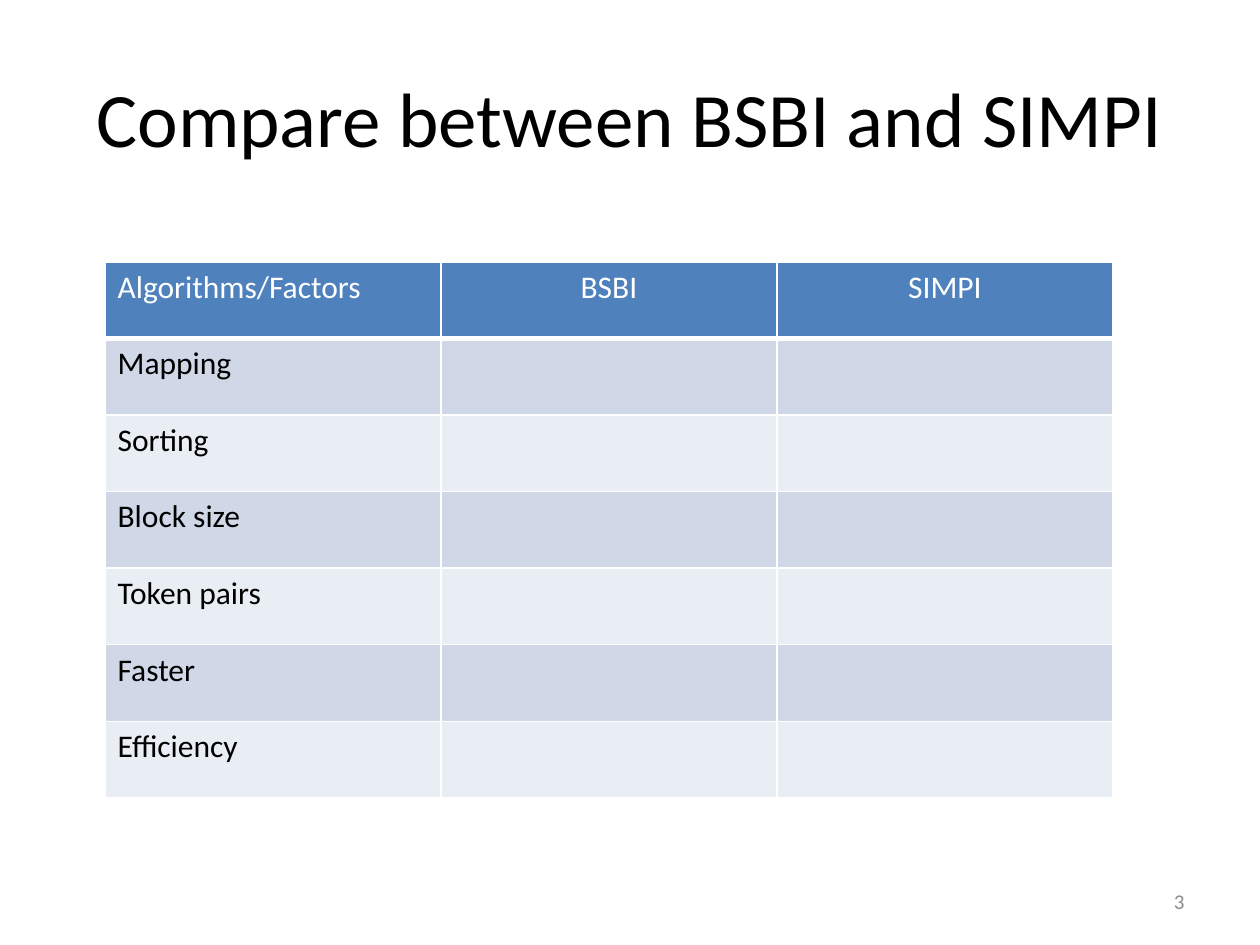
from lxml import etree
from pptx import Presentation
from pptx import util as u
from pptx.dml.color import RGBColor
from pptx.enum import text
from pptx.oxml import ns

PX_PER_INCH = 126
FONT = "Calibri"
WHITE, BLACK, GREY = "FFFFFF", "000000", "8C8C8C"
HEADER_FILL = "4F81BD"
BAND_FILLS = ["D0D8E8", "E9EDF4"]

HEADERS = ["Algorithms/Factors", "BSBI", "SIMPI"]
FACTORS = ["Mapping", "Sorting", "Block size", "Token pairs", "Faster", "Efficiency"]


def px(length):
    return u.Emu(round(length * u.Inches(1) / PX_PER_INCH))


def color(hex_string):
    return RGBColor.from_string(hex_string)


def format_paragraph(paragraph, size, hex_color, alignment):
    paragraph.alignment = alignment
    font = paragraph.font
    font.name, font.size, font.bold = FONT, u.Pt(size), False
    font.color.rgb = color(hex_color)


def add_borders(cell, widths):
    """Draw white cell borders; widths maps L, R, T, B to points."""
    properties = cell._tc.get_or_add_tcPr()
    for side, width in widths.items():
        line = etree.SubElement(properties, ns.qn(f"a:ln{side}"), w=str(u.Pt(width)))
        fill = etree.SubElement(line, ns.qn("a:solidFill"))
        etree.SubElement(fill, ns.qn("a:srgbClr"), val=WHITE)


def place_title(slide, left, top, width, height):
    title = slide.shapes.title
    title.left, title.top, title.width, title.height = map(px, (left, top, width, height))
    frame = title.text_frame
    frame.text = "Compare between BSBI and SIMPI"
    frame.vertical_anchor = text.MSO_ANCHOR.MIDDLE
    format_paragraph(frame.paragraphs[0], 44, BLACK, text.PP_ALIGN.CENTER)


def add_comparison_table(slide, left, top, width, height):
    rows = [HEADERS] + [[factor, "", ""] for factor in FACTORS]
    table = slide.shapes.add_table(
        len(rows), len(HEADERS), *map(px, (left, top, width, height))
    ).table
    for row_index, row in enumerate(rows):
        is_header = row_index == 0
        fill = HEADER_FILL if is_header else BAND_FILLS[(row_index - 1) % 2]
        for column_index, label in enumerate(row):
            cell = table.cell(row_index, column_index)
            cell.text = label
            centered = is_header and column_index > 0
            format_paragraph(
                cell.text_frame.paragraphs[0],
                18,
                WHITE if is_header else BLACK,
                text.PP_ALIGN.CENTER if centered else text.PP_ALIGN.LEFT,
            )
            add_borders(cell, {
                "L": 1,
                "R": 1,
                "T": 3 if row_index == 1 else 1,
                "B": 3 if is_header else 1,
            })
            cell.fill.solid()
            cell.fill.fore_color.rgb = color(fill)


def add_slide_number(slide, left, top, width, height):
    frame = slide.shapes.add_textbox(*map(px, (left, top, width, height))).text_frame
    frame.word_wrap = True
    frame.vertical_anchor = text.MSO_ANCHOR.MIDDLE
    frame.text = "3"
    format_paragraph(frame.paragraphs[0], 12, GREY, text.PP_ALIGN.RIGHT)


def main():
    presentation = Presentation()
    presentation.slide_width, presentation.slide_height = px(1260), px(945)
    slide = presentation.slides.add_slide(presentation.slide_layouts[5])
    place_title(slide, 63, 38, 1134, 158)
    add_slide_number(slide, 903, 876, 294, 50)
    add_comparison_table(slide, 105, 262, 1008, 536)
    presentation.save("out.pptx")


if __name__ == "__main__":
    main()
